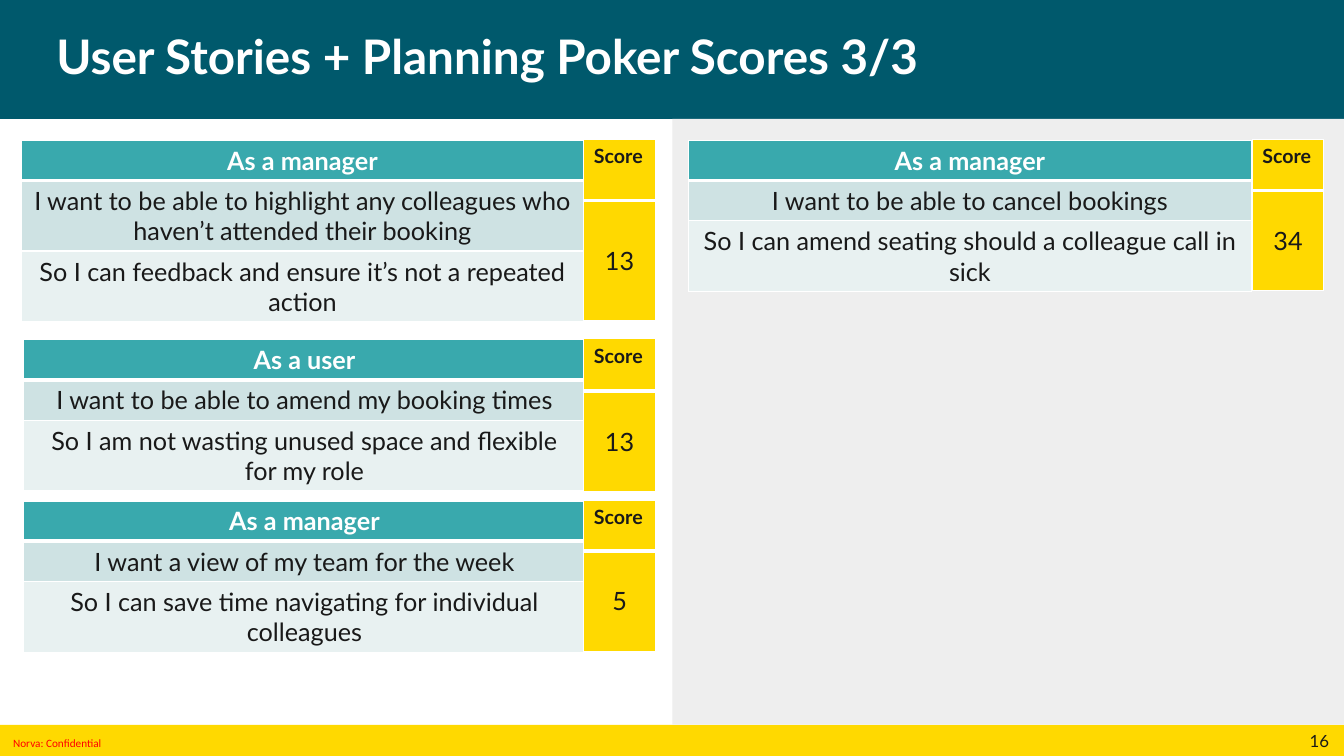
from dataclasses import dataclass

from lxml import etree
from pptx import Presentation
from pptx import util as u
from pptx.dml.color import RGBColor
from pptx.enum import shapes, text
from pptx.oxml import ns

TEAL = RGBColor(0x00, 0x59, 0x6C)
AQUA = RGBColor(0x39, 0xA9, 0xAD)
MIST = RGBColor(0xCE, 0xE2, 0xE3)
PALE = RGBColor(0xE8, 0xF1, 0xF1)
GOLD = RGBColor(0xFF, 0xD9, 0x00)
GREY = RGBColor(0xEE, 0xEE, 0xEE)
INK = RGBColor(0x19, 0x19, 0x19)
RED = RGBColor(0xFF, 0x00, 0x00)
WHITE = RGBColor(0xFF, 0xFF, 0xFF)

STORY_W, SCORE_W = 5.58, 0.71
LINE_H, ROW_PAD = 0.3, 0.1
CENTER = text.PP_ALIGN.CENTER
MIDDLE = text.MSO_ANCHOR.MIDDLE


@dataclass
class Style:
    size: float
    color: RGBColor = INK
    bold: bool = False
    align: text.PP_ALIGN = text.PP_ALIGN.LEFT
    face: str = "Lato"


@dataclass
class Row:
    words: str
    height: float
    fill: RGBColor
    style: Style
    anchor: text.MSO_ANCHOR = text.MSO_ANCHOR.TOP


@dataclass
class Story:
    left: float
    top: float
    role: str
    want: str
    lines: int  # lines taken by the wish
    reason: str
    score: str
    score_x: float
    heads: tuple[float, float]  # row heights of the score table


STORIES = [
    Story(0.21, 1.39, "As a manager",
          "I want to be able to highlight any colleagues who haven’t attended their booking", 2,
          "So I can feedback and ensure it’s not a repeated action", "13", 5.79, (0.61, 1.19)),
    Story(0.23, 3.37, "As a user",
          "I want to be able to amend my booking times", 1,
          "So I am not wasting unused space and flexible for my role", "13", 5.79, (0.52, 1)),
    Story(0.23, 4.97, "As a manager",
          "I want a view of my team for the week", 1,
          "So I can save time navigating for individual colleagues", "5", 5.79, (0.51, 0.99)),
    Story(6.83, 1.39, "As a manager",
          "I want to be able to cancel bookings", 1,
          "So I can amend seating should a colleague call in sick", "34", 12.42, (0.51, 0.99)),
]

HEAD = Style(18, WHITE, True, CENTER)
BODY = Style(18, align=CENTER)
LABEL = Style(14, bold=True)


def write(frame, words: str, style: Style) -> None:
    frame.text = words
    para = frame.paragraphs[0]
    para.alignment = style.align
    font = para.runs[0].font
    font.name, font.size, font.bold = style.face, u.Pt(style.size), style.bold
    font.color.rgb = style.color


def band(slide, left: float, top: float, width: float, height: float, fill: RGBColor) -> None:
    box = slide.shapes.add_shape(shapes.MSO_SHAPE.RECTANGLE, *map(u.Inches, (left, top, width, height)))
    box.shadow.inherit = False
    box.fill.solid()
    box.fill.fore_color.rgb = fill
    box.line.fill.background()


def label(slide, left: float, top: float, width: float, height: float,
          words: str, style: Style, inset: tuple[float, float]) -> None:
    box = slide.shapes.add_textbox(*map(u.Inches, (left, top, width, height)))
    frame = box.text_frame
    frame.word_wrap = True
    frame.vertical_anchor = MIDDLE
    frame.margin_left, frame.margin_right = u.Inches(inset[0]), 0
    frame.margin_top = frame.margin_bottom = u.Inches(inset[1])
    write(frame, words, style)
    frame.paragraphs[0].line_spacing = 0.9 if style.size > 30 else 1.0


def edge(cell, widths: dict[str, float]) -> None:
    """Draw white borders; they must come before the cell's fill."""
    props = cell._tc.get_or_add_tcPr()
    for spot, (side, width) in enumerate(widths.items()):
        line = etree.Element(ns.qn(f"a:ln{side}"), w=str(u.Pt(width)))
        fill = etree.SubElement(line, ns.qn("a:solidFill"))
        etree.SubElement(fill, ns.qn("a:srgbClr"), val=str(WHITE))
        props.insert(spot, line)


def grid(slide, left: float, top: float, width: float, rows: list[Row]) -> None:
    """Add a one-column table with a thick rule under its first row."""
    total = sum(row.height for row in rows)
    table = slide.shapes.add_table(len(rows), 1, *map(u.Inches, (left, top, width, total))).table
    table.horz_banding = False
    for i, row in enumerate(rows):
        table.rows[i].height = u.Inches(row.height)
        cell = table.cell(i, 0)
        cell.fill.solid()
        cell.fill.fore_color.rgb = row.fill
        cell.vertical_anchor = row.anchor
        write(cell.text_frame, row.words, row.style)
        edge(cell, {"L": 1, "R": 1, "T": 3 if i == 1 else 1, "B": 3 if i == 0 else 1})


def draw(slide, story: Story) -> None:
    one, two = ROW_PAD + LINE_H, ROW_PAD + 2 * LINE_H
    grid(slide, story.left, story.top, STORY_W, [
        Row(story.role, one, AQUA, HEAD),
        Row(story.want, ROW_PAD + story.lines * LINE_H, MIST, BODY),
        Row(story.reason, two, PALE, BODY),
    ])
    grid(slide, story.score_x, story.top - 0.01, SCORE_W, [
        Row("Score", story.heads[0], GOLD, LABEL),
        Row(story.score, story.heads[1], GOLD, BODY, MIDDLE),
    ])


def main() -> None:
    deck = Presentation()
    deck.slide_width, deck.slide_height = u.Inches(13.33), u.Inches(7.5)
    slide = deck.slides.add_slide(deck.slide_layouts[6])

    # Bands and right-hand panel
    band(slide, 0, 7.19, 13.33, 0.31, GOLD)
    band(slide, 0, 0, 13.33, 1.18, TEAL)
    band(slide, 6.67, 1.18, 6.66, 6.01, GREY)

    # Title and footer
    label(slide, 0.56, 0, 12.21, 1.18, "User Stories + Planning Poker Scores 3/3",
          Style(34, WHITE, True), (0, 0.05))
    label(slide, 0.13, 7.25, 1.12, 0.25, "Norva: Confidential", Style(8, RED, face="Calibri"), (0, 0))
    label(slide, 12.91, 7.19, 0.42, 0.31, "16", Style(12), (0.08, 0.05))

    # User stories with their scores
    for story in STORIES:
        draw(slide, story)

    deck.save("out.pptx")


if __name__ == "__main__":
    main()
